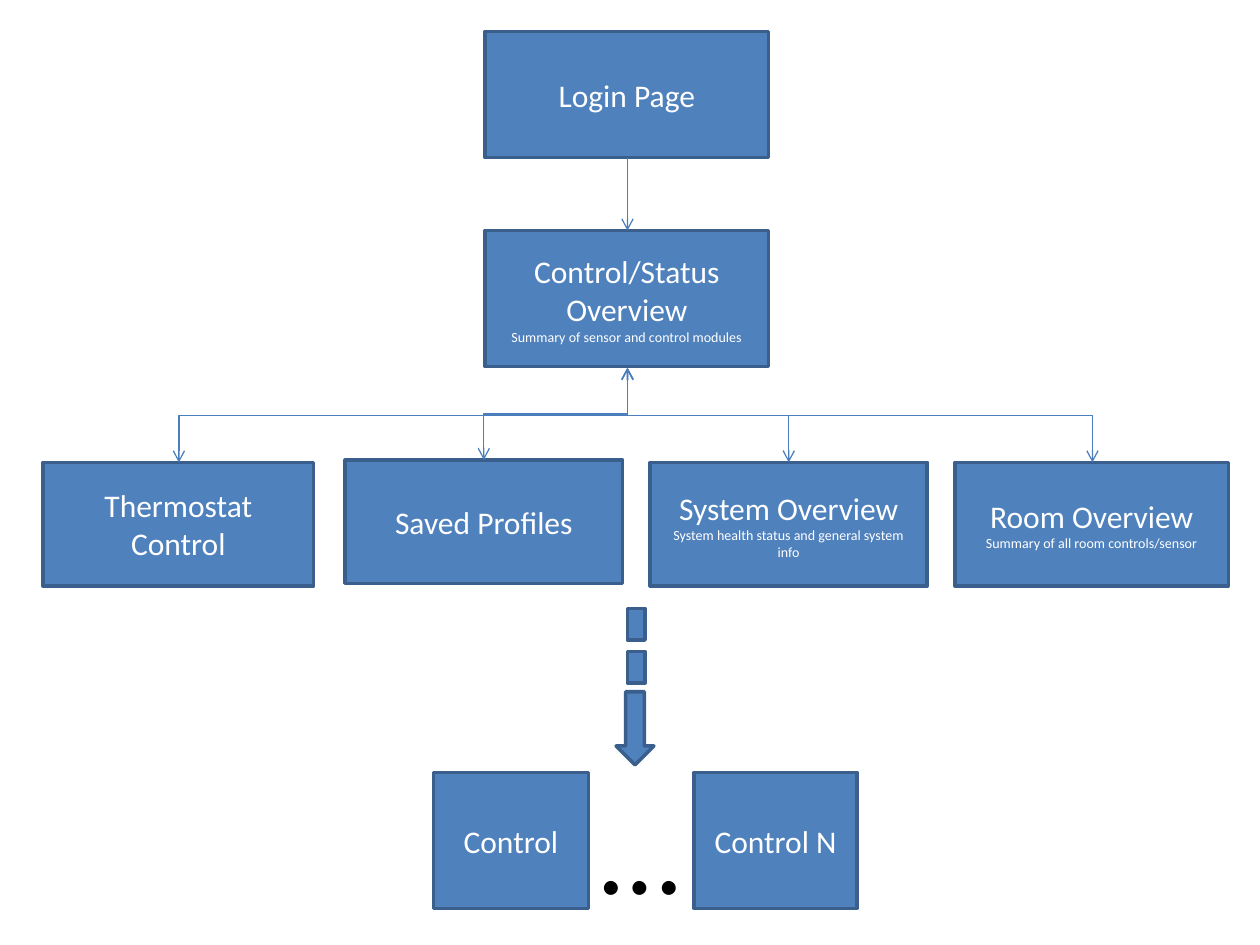
from pptx import Presentation
from pptx.dml.color import RGBColor
from pptx.enum.shapes import MSO_CONNECTOR, MSO_SHAPE
from pptx.enum.text import MSO_ANCHOR, MSO_AUTO_SIZE, PP_ALIGN
from pptx.oxml.ns import qn
from pptx.util import Inches, Pt
from lxml import etree

COLORS = {"box": "4F81BD", "border": "3A5F8C", "link": "4B7EBC",
          "label": "FFFFFF", "dots": "000000"}
rgb = {part: RGBColor.from_string(value) for part, value in COLORS.items()}

LABEL = {"name": "Calibri", "size": Pt(18)}
CAPTION = {"name": "Calibri", "size": Pt(8)}
DOTS = {"name": "Calibri", "size": Pt(66)}

site_map = Presentation()
site_map.slide_width, site_map.slide_height = Inches(10), Inches(7.5)
slide = site_map.slides.add_slide(site_map.slide_layouts[6])


def add_block(kind, left, top, width, height, lines=()):
    block = slide.shapes.add_shape(kind, *map(Inches, (left, top, width, height)))
    block.shadow.inherit = False
    block.fill.solid()
    block.fill.fore_color.rgb = rgb["box"]
    block.line.color.rgb = rgb["border"]
    block.line.width = Pt(2)
    frame = block.text_frame
    frame.word_wrap = True
    frame.vertical_anchor = MSO_ANCHOR.MIDDLE
    for index, (text, style) in enumerate(zip(lines, (LABEL, CAPTION))):
        paragraph = frame.add_paragraph() if index else frame.paragraphs[0]
        paragraph.alignment = PP_ALIGN.CENTER
        run = paragraph.add_run()
        run.text = text
        run.font.color.rgb = rgb["label"]
        for attribute, value in style.items():
            setattr(run.font, attribute, value)


def add_link(kind, x1, y1, x2, y2, ends):
    link = slide.shapes.add_connector(kind, *map(Inches, (x1, y1, x2, y2)))
    link.line.color.rgb = rgb["link"]
    link.line.width = Pt(0.75)
    for end in ends:
        etree.SubElement(link.line._get_or_add_ln(), qn(f"a:{end}"), type="arrow")
    etree.SubElement(link._element.spPr, qn("a:effectLst"))
    return link


# Pages and controls
pages = [
    (3.85, 0.25, 2.25, 1, ["Login Page"]),
    (3.85, 1.83, 2.25, 1.08,
     ["Control/Status Overview", "Summary of sensor and control modules"]),
    (0.34, 3.67, 2.15, 0.98, ["Thermostat Control"]),
    (2.74, 3.65, 2.2, 0.98, ["Saved Profiles"]),
    (5.16, 3.67, 2.2, 0.98,
     ["System Overview", "System health status and general system info"]),
    (7.58, 3.67, 2.17, 0.98,
     ["Room Overview", "Summary of all room controls/sensor"]),
    (3.44, 6.13, 1.23, 1.08, ["Control"]),
    (5.51, 6.13, 1.29, 1.08, ["Control N"]),
]
for page in pages:
    add_block(MSO_SHAPE.RECTANGLE, *page)

# Ellipsis between the controls
ellipsis = slide.shapes.add_textbox(*map(Inches, (4.67, 6.13, 0.83, 1.21)))
ellipsis.text_frame.word_wrap = False
ellipsis.text_frame.auto_size = MSO_AUTO_SIZE.SHAPE_TO_FIT_TEXT
dots = ellipsis.text_frame.paragraphs[0].add_run()
dots.text = "…"
dots.font.color.rgb = rgb["dots"]
for attribute, value in DOTS.items():
    setattr(dots.font, attribute, value)

# Login to overview
hub_x, hub_bottom = 4.98, 2.92
add_link(MSO_CONNECTOR.STRAIGHT, hub_x, 1.25, hub_x, 1.83, ["tailEnd"])

# Overview to its four pages: elbows turned a quarter so they leave vertically
for page_x, page_top in [(1.42, 3.67), (3.84, 3.65), (6.26, 3.67), (8.67, 3.67)]:
    mid_x, mid_y = (page_x + hub_x) / 2, (page_top + hub_bottom) / 2
    half_rise, half_run = (page_top - hub_bottom) / 2, (hub_x - page_x) / 2
    elbow = add_link(MSO_CONNECTOR.ELBOW, mid_x - half_rise, mid_y - half_run,
                     mid_x + half_rise, mid_y + half_run, ["headEnd", "tailEnd"])
    elbow._element.spPr.find(qn("a:xfrm")).set("rot", str(270 * 60000))

# Dashed arrow down to the controls
add_block(MSO_SHAPE.DOWN_ARROW, 4.89, 5.49, 0.3, 0.58)
for dash_top in (5.17, 4.83):
    add_block(MSO_SHAPE.RECTANGLE, 4.98, dash_top, 0.14, 0.25)

site_map.save("out.pptx")
